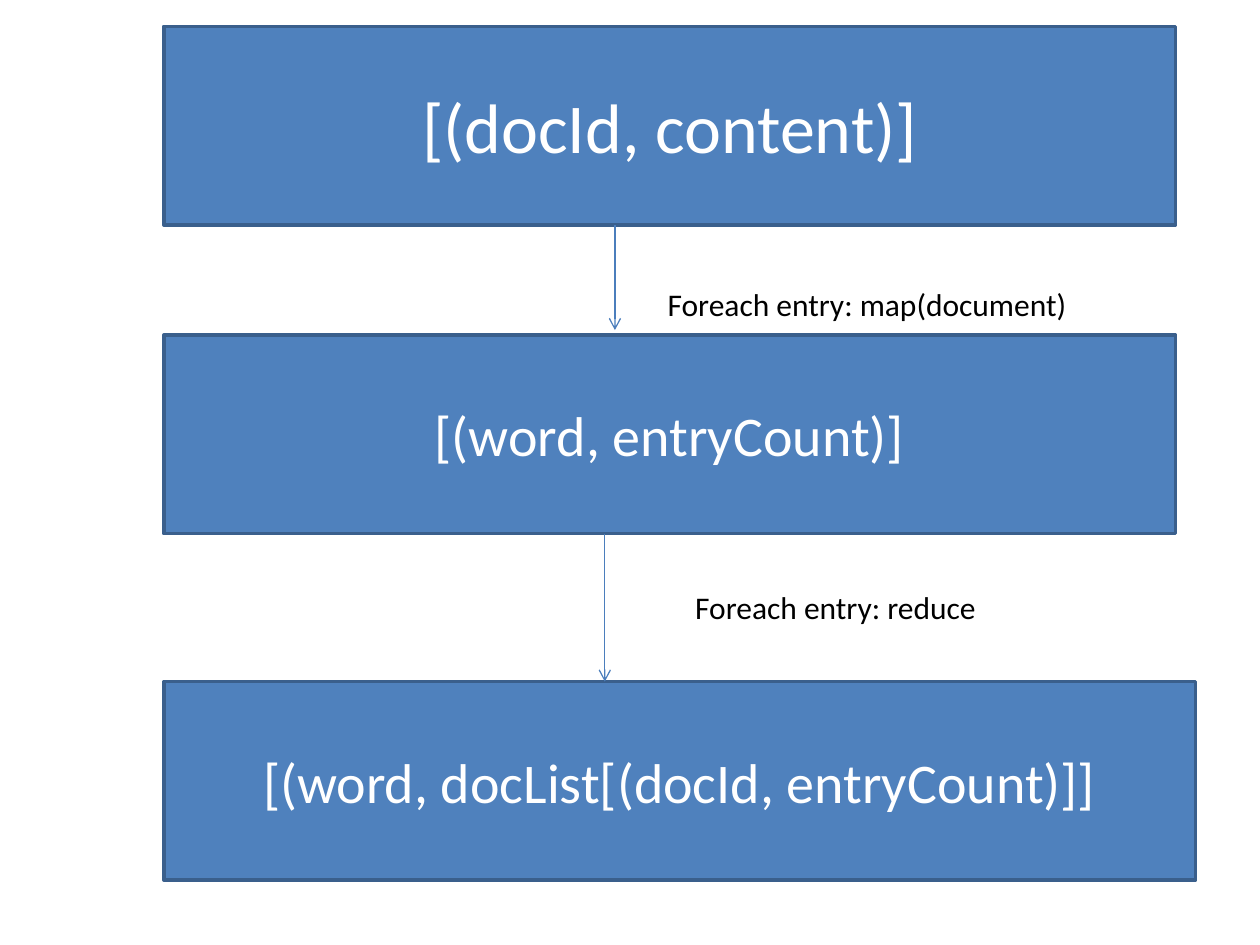
from lxml import etree
from pptx import Presentation
from pptx.dml.color import RGBColor
from pptx.enum.shapes import MSO_CONNECTOR, MSO_SHAPE
from pptx.enum.text import MSO_ANCHOR, MSO_AUTO_SIZE, PP_ALIGN
from pptx.oxml.ns import qn
from pptx.util import Pt

RECT = MSO_SHAPE.RECTANGLE
LINE = MSO_CONNECTOR.STRAIGHT
MIDDLE = MSO_ANCHOR.MIDDLE
CENTER = PP_ALIGN.CENTER
GROW = MSO_AUTO_SIZE.SHAPE_TO_FIT_TEXT

# Content: text, top, width, font size
STAGES = [
    ("[(docId, content)]", 15.1, 578.2, 40),
    ("[(word, entryCount)]", 191.5, 578.2, 32),
    ("[(word, docList[(docId, entryCount)]]", 389.5, 589.7, 32),
]
# Label, left, top, width; then arrow x and gap before the next stage
STEPS = [
    ("Foreach entry: map(document)", 374.4, 159.1, 245.5, 351.4, 2.9),
    ("Foreach entry: reduce", 390.2, 332.6, 177.1, 345.6, 0),
]
LEFT, HIGH = 93.6, 113.4
COLORS = {"fill": "4F81BD", "edge": "3A5F8C", "arrow": "4B7EBC",
          "light": "FFFFFF", "dark": "000000"}


def color(name):
    return RGBColor.from_string(COLORS[name])


def write(frame, text, size, ink):
    para = frame.paragraphs[0]
    para.text = text
    para.font.name = "Calibri"
    para.font.size = Pt(size)
    para.font.color.rgb = color(ink)
    return para


deck = Presentation()
deck.slide_width, deck.slide_height = Pt(720), Pt(540)
shapes = deck.slides.add_slide(deck.slide_layouts[6]).shapes

# Stage boxes
for text, top, width, size in STAGES:
    box = shapes.add_shape(RECT, Pt(LEFT), Pt(top), Pt(width), Pt(HIGH))
    box.shadow.inherit = False
    box.fill.solid()
    box.fill.fore_color.rgb = color("fill")
    box.line.color.rgb = color("edge")
    box.line.width = Pt(2)
    box.text_frame.word_wrap = True
    box.text_frame.vertical_anchor = MIDDLE
    write(box.text_frame, text, size, "light").alignment = CENTER

# Arrows between stages, with their labels
for i, (text, left, top, width, x, gap) in enumerate(STEPS):
    start, end = STAGES[i][1] + HIGH, STAGES[i + 1][1] - gap
    arrow = shapes.add_connector(LINE, Pt(x), Pt(start), Pt(x), Pt(end))
    arrow.line.color.rgb = color("arrow")
    arrow.line.width = Pt(0.75)
    etree.SubElement(arrow.line._get_or_add_ln(), qn("a:tailEnd"), type="arrow")
    etree.SubElement(arrow._element.spPr, qn("a:effectLst"))

    label = shapes.add_textbox(Pt(left), Pt(top), Pt(width), Pt(29.1))
    label.text_frame.word_wrap = False
    label.text_frame.auto_size = GROW
    write(label.text_frame, text, 18, "dark")

deck.save("out.pptx")
